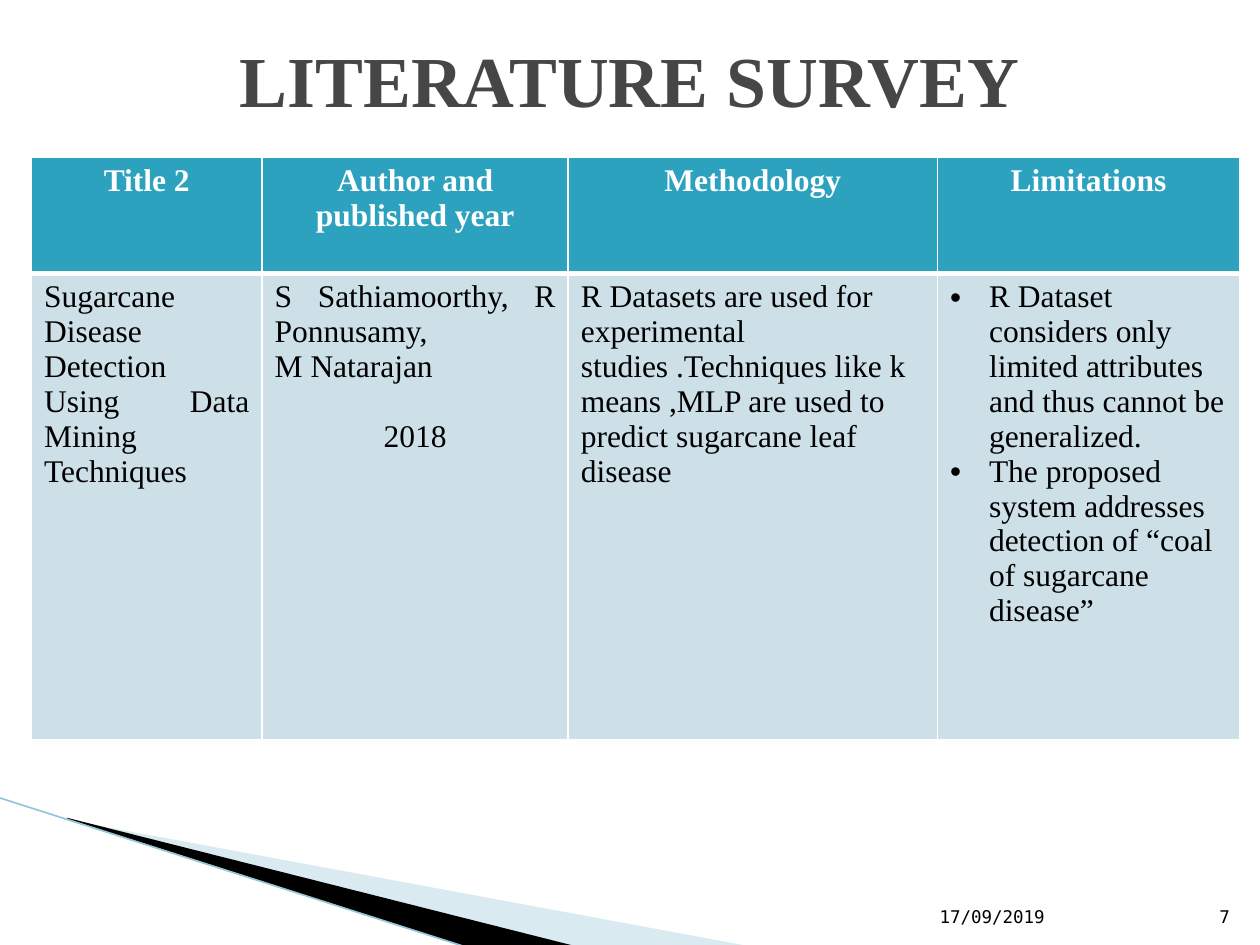
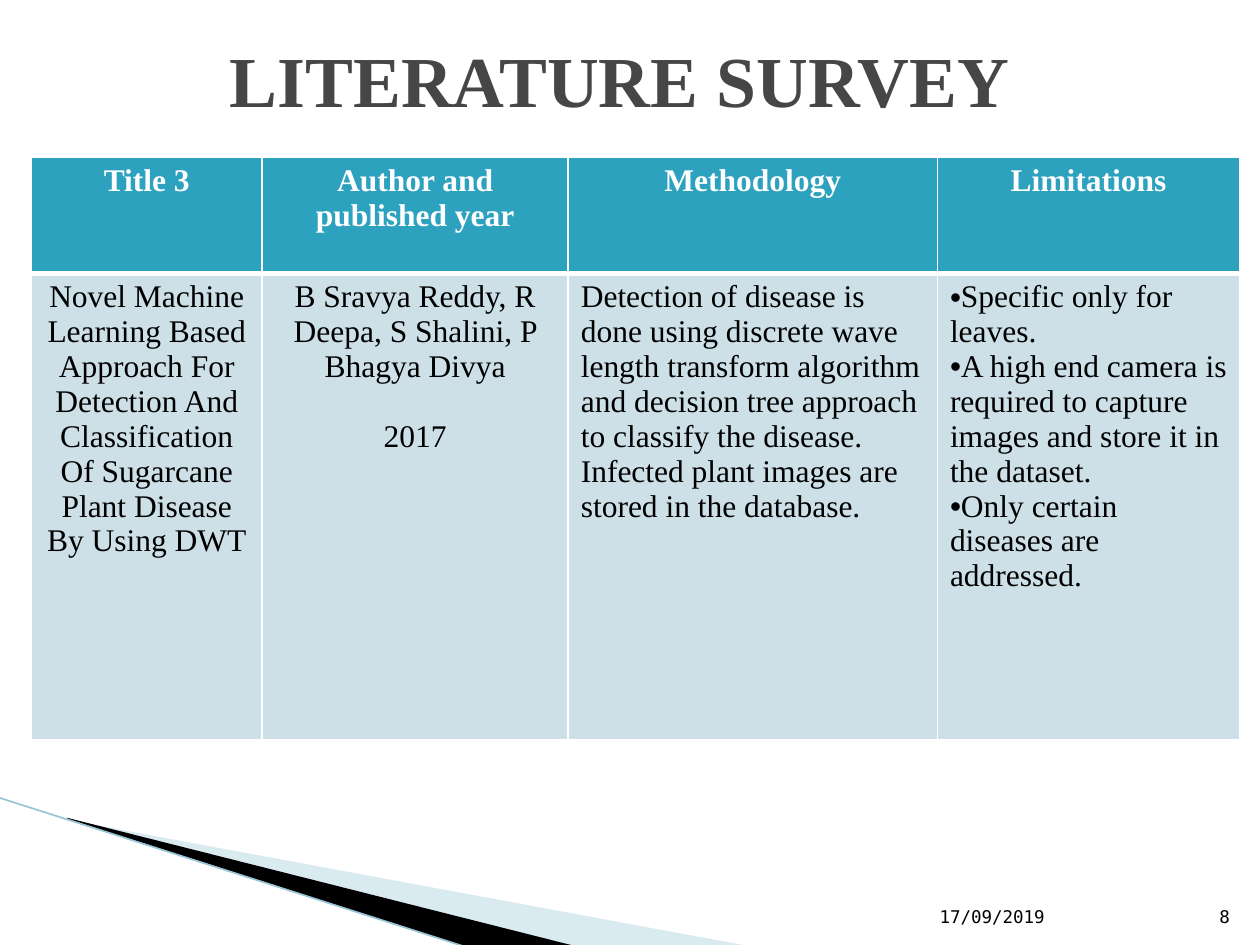
"""Build two literature survey slides with a shared theme, corner band and footer."""
from dataclasses import dataclass
from lxml.etree import SubElement
from pptx import Presentation
from pptx.dml.color import RGBColor as RGB
from pptx.enum.shapes import MSO_CONNECTOR as CONN
from pptx.enum.text import MSO_ANCHOR as ANCHOR, MSO_AUTO_SIZE as AUTO, PP_ALIGN as AL
from pptx.oxml.ns import qn
from pptx.util import Emu, Inches, Pt


@dataclass(frozen=True)
class Theme:
    font: str = "Times New Roman"
    mono: str = "DejaVu Sans Mono"
    title: str = "464646"
    white: str = "FFFFFF"
    black: str = "000000"
    header: str = "2DA2BF"
    body: str = "CDE0E8"
    pale: str = "A0CBDC"
    edge: str = "97C5D8"
    title_size: int = 41
    table_size: int = 18
    footer_size: int = 10


T = Theme()
L, C, J = AL.LEFT, AL.CENTER, AL.JUSTIFY

prs = Presentation()
prs.slide_width, prs.slide_height = Inches(10), Inches(7.5)
COLS, ROWS = 40, 30
CELL_W, CELL_H = prs.slide_width / COLS, prs.slide_height / ROWS


def grid(*nums):
    """Turn alternating column and row counts into lengths."""
    return [Emu(round(n * (CELL_H if i % 2 else CELL_W))) for i, n in enumerate(nums)]


def write(p, text, size, color, font=T.font, bold=False, align=L):
    """Add one formatted run to a paragraph."""
    p.alignment = align
    r = p.add_run()
    r.text = text
    r.font.name, r.font.size, r.font.bold = font, Pt(size), bold
    r.font.color.rgb = RGB.from_string(color)


DATE = "17/09/2019"
HEADS = ["Author and published year", "Methodology", "Limitations"]
COL_SPANS = [7.32, 9.72, 11.72, 9.6]
ROW_SPANS = [3.68, 14.8]
YEAR_GAP = Pt(20)
BANDS = [
    (T.pale, 40, [(2.2, 26.04), (23.8, 30.04), (18.24, 30.04), (2.2, 26)]),
    (T.black, 100, [(2.12, 25.96), (18.28, 30.04), (14.88, 30.08), (2.16, 26)]),
]
SURVEYS = [
    dict(number=7, title_col=2, indent=0.31, cells=[
        [("Sugarcane Disease Detection Using Data Mining", J), ("Techniques", J)],
        [("S Sathiamoorthy, R Ponnusamy,", J), ("M Natarajan", J), ("2018", C)],
        [("R Datasets are used for experimental studies .Techniques like k means ,MLP "
          "are used to predict sugarcane leaf disease", L)],
        [("R Dataset considers only limited attributes and thus cannot be generalized.", L),
         ("The proposed system addresses detection of “coal of sugarcane disease”", L)],
    ]),
    dict(number=8, title_col=1.68, indent=0, cells=[
        [("Novel Machine Learning Based Approach For Detection And Classification "
          "Of Sugarcane Plant Disease By Using DWT", C)],
        [("B Sravya Reddy, R Deepa, S Shalini, P Bhagya Divya", C), ("2017", C)],
        [("Detection of disease is done using discrete wave length transform algorithm "
          "and decision tree approach to classify the disease.", L),
         ("Infected plant images are stored in the database.", L)],
        [("Specific only for leaves.", L),
         ("A high end camera is required to capture images and store it in the dataset.", L),
         ("Only certain diseases are addressed.", L)],
    ]),
]

layout = prs.slide_layouts[5]
for ph in list(layout.placeholders):
    if ph.placeholder_format.idx >= 10:
        ph.element.getparent().remove(ph.element)
slides = [prs.slides.add_slide(layout) for _ in SURVEYS]

shapes = slides[0].shapes
for color, alpha, points in BANDS:
    start, *rest = [grid(*pt) for pt in points]
    fb = shapes.build_freeform(*start)
    fb.add_line_segments(rest, close=True)
    sp = fb.convert_to_shape()
    sp.shadow.inherit = False
    sp.line.fill.background()
    sp.fill.solid()
    sp.fill.fore_color.rgb = RGB.from_string(color)
    if alpha < 100:
        clr = sp.element.spPr.find(".//" + qn("a:srgbClr"))
        SubElement(clr, qn("a:alpha")).set("val", str(alpha * 1000))
    layout.shapes.element.append(sp.element)

edge = shapes.add_connector(CONN.STRAIGHT, *grid(-0.04, 25.32, 14.84, 30.08))
edge.line.color.rgb = RGB.from_string(T.edge)
edge.line.width = Pt(0.95)
SubElement(edge.element.spPr, qn("a:effectLst"))
layout.shapes.element.append(edge.element)

for s, survey in zip(slides, SURVEYS):
    title = s.shapes.title
    title.left, title.top, title.width, title.height = grid(survey["title_col"], 0, 36, 5)
    tf = title.text_frame
    tf.auto_size, tf.vertical_anchor = AUTO.NONE, ANCHOR.MIDDLE
    write(tf.paragraphs[0], "LITERATURE SURVEY", T.title_size, T.title, bold=True, align=C)

    footers = [(str(survey["number"]), 37.84, 1.6, AL.RIGHT), (DATE, 29.44, 8.4, L)]
    for text, col, span, align in footers:
        tf = s.shapes.add_textbox(*grid(col, 28.04, span, 1.6)).text_frame
        tf.word_wrap, tf.vertical_anchor = True, ANCHOR.BOTTOM
        write(tf.paragraphs[0], text, T.footer_size, T.black, T.mono, align=align)

    frame = s.shapes.add_table(2, 4, *grid(1, 5, sum(COL_SPANS), sum(ROW_SPANS)))
    table = frame.table
    table.horz_banding = False
    for column, span in zip(table.columns, COL_SPANS):
        column.width = Emu(round(span * CELL_W))
    for row, span in zip(table.rows, ROW_SPANS):
        row.height = Emu(round(span * CELL_H))

    heads = [[(text, C)] for text in [f"Title {survey['number'] - 5}"] + HEADS]
    for i, row in enumerate([heads, survey["cells"]]):
        is_head = i == 0
        for j, paras in enumerate(row):
            cell = table.cell(i, j)
            tcPr = cell._tc.get_or_add_tcPr()
            for side in "LRTB" if is_head else "LRB":
                width = 3 if is_head and side == "B" else 1
                ln = SubElement(tcPr, qn(f"a:ln{side}"), w=str(Pt(width)))
                SubElement(SubElement(ln, qn("a:solidFill")), qn("a:srgbClr"), val=T.white)
            cell.fill.solid()
            cell.fill.fore_color.rgb = RGB.from_string(T.header if is_head else T.body)
            tf = cell.text_frame
            for k, (text, align) in enumerate(paras):
                p = tf.add_paragraph() if k else tf.paragraphs[0]
                write(p, text, T.table_size, T.white if is_head else T.black,
                      bold=is_head, align=align)
                if text.isdigit():
                    p.space_before = YEAR_GAP
                if not is_head and j == 3:
                    pPr = p._p.get_or_add_pPr()
                    indent = Inches(survey["indent"])
                    pPr.set("marL", str(indent))
                    pPr.set("indent", str(-indent))
                    SubElement(pPr, qn("a:buFont"), typeface="Arial")
                    SubElement(pPr, qn("a:buChar"), char="•")

prs.save("out.pptx")
